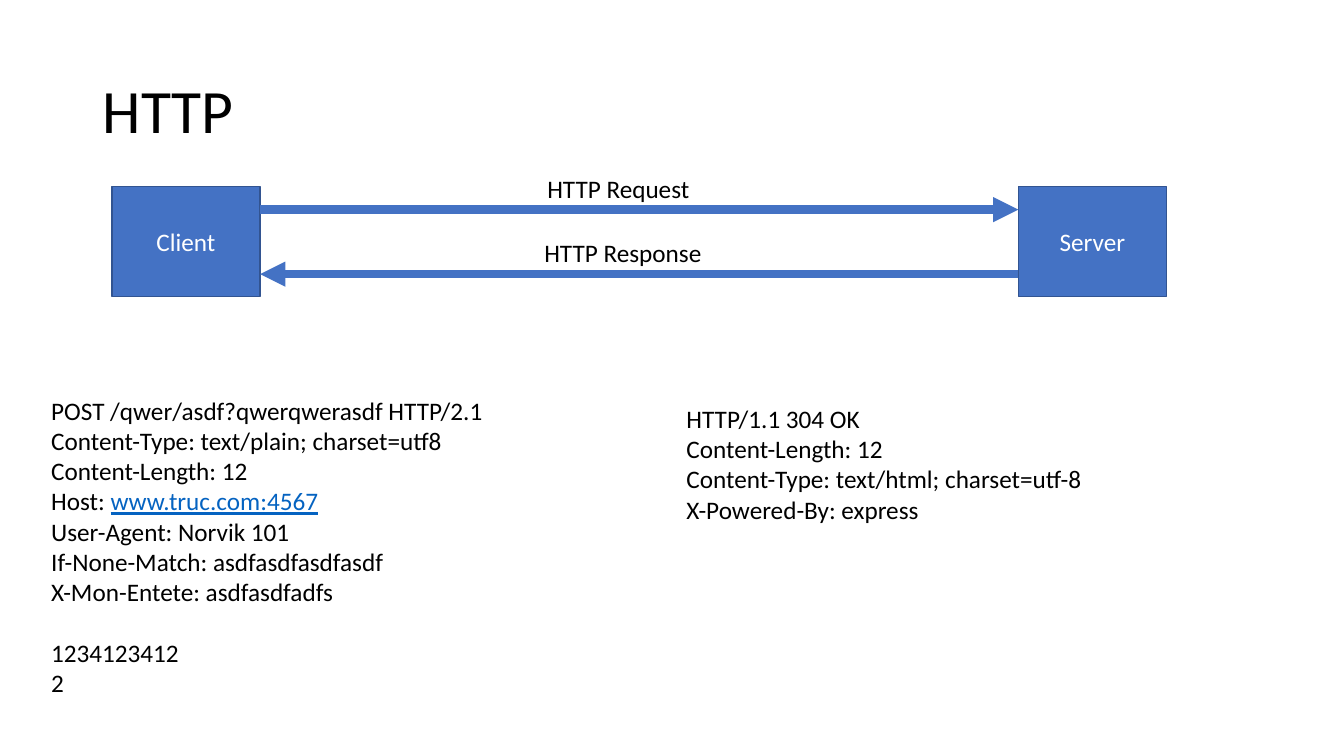
from dataclasses import dataclass

from lxml.etree import SubElement
from pptx import Presentation
from pptx.dml.color import RGBColor
from pptx.enum.shapes import MSO_CONNECTOR as Connector, MSO_SHAPE as Preset
from pptx.enum.text import MSO_ANCHOR as Anchor, MSO_AUTO_SIZE as AutoSize, PP_ALIGN as Align
from pptx.oxml.ns import qn
from pptx.util import Inches, Pt


@dataclass(frozen=True)
class Theme:
    font: str = "Calibri"
    title_size: int = 44
    body_size: int = 18
    text: str = "000000"
    inverse: str = "FFFFFF"
    accent: str = "4472C4"
    outline: str = "325491"
    link: str = "0563C1"


theme = Theme()


def add_run(paragraph, text, color=theme.text, size=theme.body_size, underline=None):
    """Append one styled run to a paragraph."""
    run = paragraph.add_run()
    run.text = text
    run.font.name = theme.font
    run.font.size = Pt(size)
    run.font.color.rgb = RGBColor.from_string(color)
    run.font.underline = underline


def add_message(left, top, width, height, lines):
    """Add an unwrapped text box with one paragraph per line and return its frame."""
    frame = slide.shapes.add_textbox(
        Inches(left), Inches(top), Inches(width), Inches(height)).text_frame
    frame.word_wrap = False
    frame.auto_size = AutoSize.SHAPE_TO_FIT_TEXT
    for index, line in enumerate(lines):
        paragraph = frame.add_paragraph() if index else frame.paragraphs[0]
        add_run(paragraph, line)
    return frame


deck = Presentation()
deck.slide_width, deck.slide_height = Inches(13.33), Inches(7.5)
slide = deck.slides.add_slide(deck.slide_layouts[6])

# Title
heading = slide.shapes.add_textbox(
    Inches(0.92), Inches(0.4), Inches(11.5), Inches(1.45)).text_frame
heading.word_wrap = True
heading.vertical_anchor = Anchor.MIDDLE
heading.paragraphs[0].line_spacing = 0.9
add_run(heading.paragraphs[0], "HTTP", size=theme.title_size)

# Client and server
client_left, server_left = 1.11, 10.1
host_width = 1.47
for host, left in (("Client", client_left), ("Server", server_left)):
    box = slide.shapes.add_shape(
        Preset.RECTANGLE, Inches(left), Inches(1.85), Inches(host_width), Inches(1.09))
    box.shadow.inherit = False
    box.fill.solid()
    box.fill.fore_color.rgb = RGBColor.from_string(theme.accent)
    box.line.color.rgb = RGBColor.from_string(theme.outline)
    box.line.width = Pt(1)
    box.text_frame.vertical_anchor = Anchor.MIDDLE
    box.text_frame.paragraphs[0].alignment = Align.CENTER
    add_run(box.text_frame.paragraphs[0], host, theme.inverse)

# Exchange between them, each label sitting above its arrow
client_edge = client_left + host_width
exchanges = (
    ("HTTP Request", client_edge, server_left, 2.08, 5.33, 1.63),
    ("HTTP Response", server_left, client_edge, 2.72, 5.3, 1.78),
)
for label, start, end, y, label_left, label_width in exchanges:
    arrow = slide.shapes.add_connector(
        Connector.STRAIGHT, Inches(start), Inches(y), Inches(end), Inches(y))
    arrow.line.color.rgb = RGBColor.from_string(theme.accent)
    arrow.line.width = Pt(6)
    SubElement(arrow.line._get_or_add_ln(), qn("a:tailEnd"), type="triangle")
    SubElement(arrow._element.spPr, qn("a:effectLst"))
    add_message(label_left, y - 0.41, label_width, 0.4, [label])

# Request message
request_lines = [
    "POST /qwer/asdf?qwerqwerasdf HTTP/2.1",
    "Content-Type: text/plain; charset=utf8",
    "Content-Length: 12",
    "Host: ",
    "User-Agent: Norvik 101",
    "If-None-Match: asdfasdfasdfasdf",
    "X-Mon-Entete: asdfasdfadfs",
    "1234123412",
    "2",
]
request = add_message(0.41, 3.87, 4.53, 3.13, request_lines)
host_line = request.paragraphs[request_lines.index("Host: ")]
add_run(host_line, "www.truc.com:4567", theme.link, underline=True)
body_start = request.paragraphs[request_lines.index("1234123412")]
body_start.space_before = Pt(22)

# Response message
add_message(6.71, 3.95, 4.19, 1.31, [
    "HTTP/1.1 304 OK",
    "Content-Length: 12",
    "Content-Type: text/html; charset=utf-8",
    "X-Powered-By: express",
])

deck.save("out.pptx")
